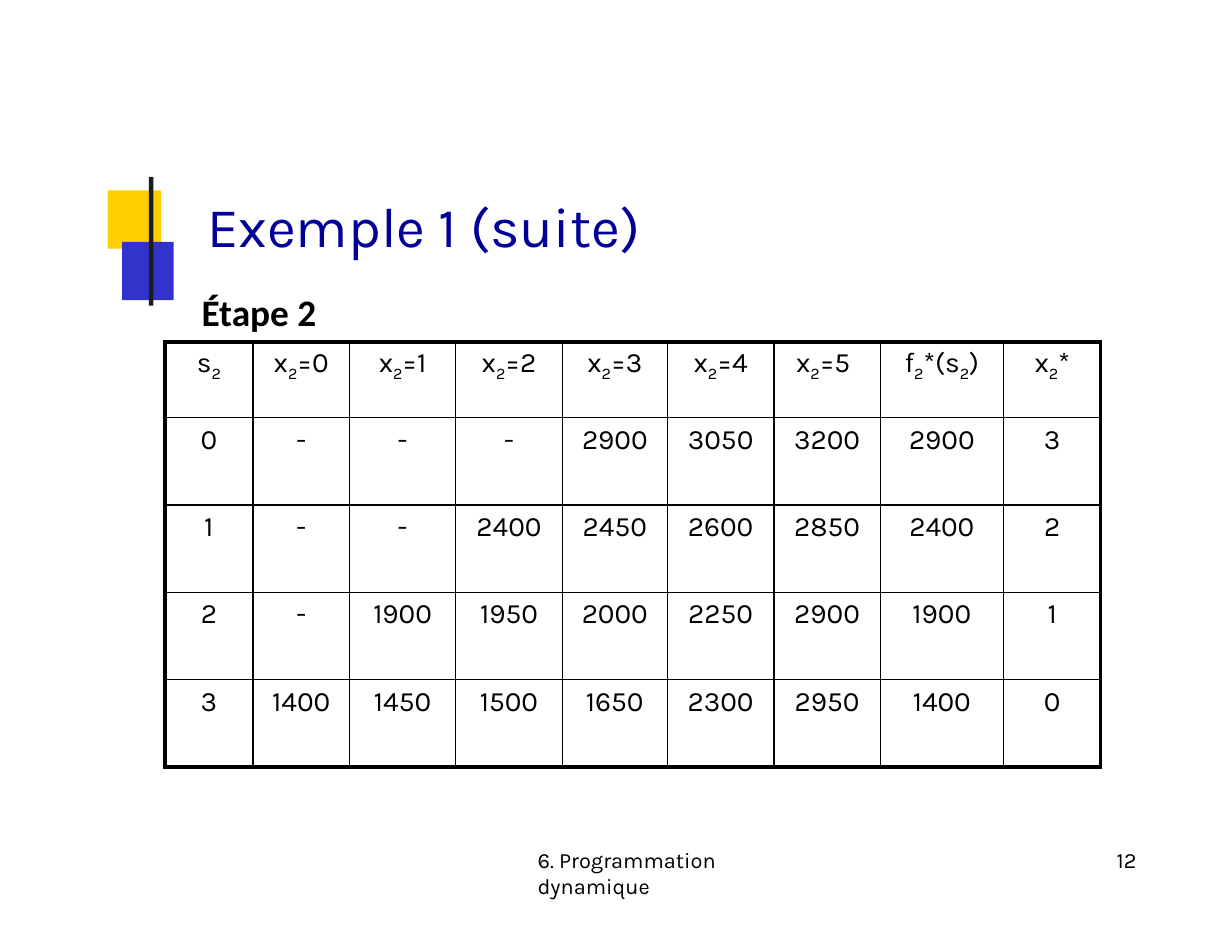
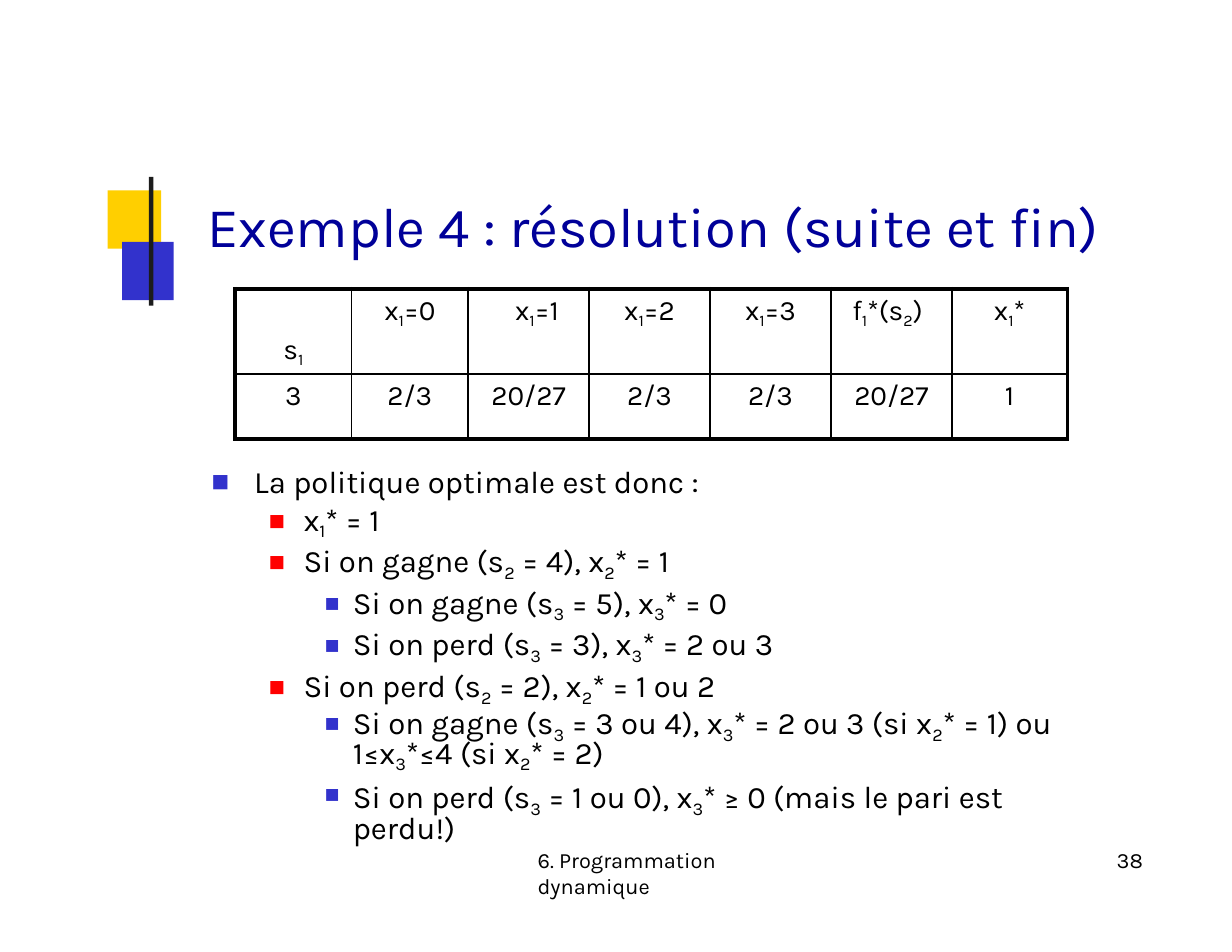
from dataclasses import dataclass

from lxml.etree import SubElement
from pptx import Presentation
from pptx.dml.color import RGBColor as Color
from pptx.enum.shapes import MSO_SHAPE as Shape
from pptx.enum.text import MSO_ANCHOR as Anchor, MSO_AUTO_SIZE as AutoSize, PP_ALIGN as Align
from pptx.oxml.ns import qn
from pptx.util import Inches, Pt


@dataclass(frozen=True)
class Theme:
    font: str = "Karla"
    label_font: str = "Calibri"
    title_color: str = "000099"
    ink: str = "000000"
    yellow: str = "FFCF00"
    blue: str = "3232CC"
    bar: str = "1C1C1C"
    red: str = "FF0000"
    title_size: int = 36
    label_size: int = 24
    body_size: int = 20
    cell_size: int = 18
    footer_size: int = 14
    thin: float = 1
    medium: float = 2.25
    thick: float = 3


FOOTER = "6. Programmation dynamique"
TITLE_ONLY, TITLE_AND_BODY = 5, 1


class Slides:
    def __init__(self, theme):
        self.theme = theme
        self.deck = Presentation()
        self.deck.slide_width, self.deck.slide_height = Inches(11), Inches(8.5)
        self.page = None
        # Left, indent, bullet colour and bullet size (percent) of each list level
        self.levels = [
            (0.47, -0.38, theme.blue, 60),
            (0.91, -0.31, theme.red, 55),
            (1.35, -0.25, theme.blue, 50),
        ]

    def new_page(self, layout, title, number):
        """Start a slide with the shared marks, title and footer."""
        theme = self.theme
        self.page = self.deck.slides.add_slide(self.deck.slide_layouts[layout])
        self.block(0.96, 1.7, 0.48, 0.52, theme.yellow)
        self.block(1.09, 2.16, 0.46, 0.52, theme.blue)
        self.block(1.33, 1.58, 0.04, 1.15, theme.bar)

        heading = self.page.shapes.title
        self.frame(heading, 1.85, 1.68, 8.34, 0.63)
        self.fill_para(heading.text_frame.paragraphs[0], title,
                       theme.title_size, theme.title_color)

        self.label(FOOTER, 4.8, 7.53, 2.57, 0.26, theme.footer_size)
        self.label(str(number), 9.97, 7.53, 0.31, 0.26, theme.footer_size)

    def block(self, left, top, width, height, color):
        box = self.page.shapes.add_shape(
            Shape.RECTANGLE, Inches(left), Inches(top), Inches(width), Inches(height))
        box.shadow.inherit = False
        box.fill.solid()
        box.fill.fore_color.rgb = Color.from_string(color)
        box.line.fill.background()

    def frame(self, box, left, top, width, height):
        """Place a box of text and give it the tight shared margins."""
        box.left, box.top = Inches(left), Inches(top)
        box.width, box.height = Inches(width), Inches(height)
        frame = box.text_frame
        frame.word_wrap = True
        frame.auto_size = AutoSize.NONE
        frame.vertical_anchor = Anchor.TOP
        frame.margin_left = frame.margin_right = frame.margin_bottom = 0
        frame.margin_top = Inches(0.03)

    def fill_para(self, para, text, size, color=None, font=None, bold=False, align=Align.LEFT):
        """Fill a paragraph; the character after each _ is a subscript."""
        para.alignment = align
        para.font.name = font or self.theme.font
        para.font.size = Pt(size)
        para.font.bold = bold
        para.font.color.rgb = Color.from_string(color or self.theme.ink)
        first, *rest = text.split("_")
        pieces = [(first, False)]
        for part in rest:
            pieces += [(part[0], True), (part[1:], False)]
        for piece, lowered in pieces:
            if piece:
                span = para.add_run()
                span.text = piece
                if lowered:
                    span._r.get_or_add_rPr().set("baseline", "-22000")

    def label(self, text, left, top, width, height, size, **style):
        box = self.page.shapes.add_textbox(0, 0, 0, 0)
        self.frame(box, left, top, width, height)
        self.fill_para(box.text_frame.paragraphs[0], text, size, **style)

    def bullets(self, items, left, top, width, height):
        """Items are (level, text, line spacing, points before)."""
        box = self.page.placeholders[1]
        self.frame(box, left, top, width, height)
        frame = box.text_frame
        for index, (level, text, spacing, before) in enumerate(items):
            para = frame.add_paragraph() if index else frame.paragraphs[0]
            para.level = level
            para.line_spacing = spacing
            para.space_before = Pt(before)
            self.bullet(para, *self.levels[level])
            self.fill_para(para, text, self.theme.body_size)

    def bullet(self, para, left, indent, color, percent):
        props = para._p.get_or_add_pPr()
        props.set("marL", str(Inches(left)))
        props.set("indent", str(Inches(indent)))
        SubElement(SubElement(props, qn("a:buClr")), qn("a:srgbClr"), val=color)
        SubElement(props, qn("a:buSzPct"), val=str(percent * 1000))
        SubElement(props, qn("a:buFont"), typeface=self.theme.font)
        SubElement(props, qn("a:buChar"), char="■")

    def table(self, rows, left, top, widths, heights, nudges):
        """Nudges map a header column to its (left, right, top) extra margins."""
        theme = self.theme
        table = self.page.shapes.add_table(
            len(rows), len(widths), Inches(left), Inches(top),
            Inches(sum(widths)), Inches(sum(heights))).table
        table.first_row = table.horz_banding = False
        for column, width in zip(table.columns, widths):
            column.width = Inches(width)
        last_row, last_column = len(rows) - 1, len(widths) - 1
        for r, (row, height) in enumerate(zip(rows, heights)):
            table.rows[r].height = Inches(height)
            for c, text in enumerate(row):
                cell = table.cell(r, c)
                extra = nudges.get(c, (0, 0, 0)) if r == 0 else (0, 0, 0)
                cell.margin_left, cell.margin_right = Inches(extra[0]), Inches(extra[1])
                cell.margin_top, cell.margin_bottom = Inches(0.05 + extra[2]), 0
                cell.vertical_anchor = Anchor.TOP
                self.fill_para(cell.text_frame.paragraphs[0], text, theme.cell_size,
                               align=Align.CENTER)
                self.borders(
                    cell,
                    L=theme.thick if c == 0 else theme.thin,
                    R=theme.medium if c == last_column else theme.thin,
                    T=theme.thick if r == 0 else theme.thin,
                    B=theme.thick if r == last_row else theme.thin)
                cell.fill.background()

    def borders(self, cell, **sides):
        props = cell._tc.get_or_add_tcPr()
        for side, width in sides.items():
            line = SubElement(props, qn(f"a:ln{side}"), w=str(Pt(width)))
            fill = SubElement(line, qn("a:solidFill"))
            SubElement(fill, qn("a:srgbClr"), val=self.theme.ink)


def stage_two(slides):
    theme = slides.theme
    slides.new_page(TITLE_ONLY, "Exemple 1 (suite)", 12)
    rows = [
        ["s_2", *(f"x_2={x}" for x in range(6)), "f_2*(s_2)", "x_2*"],
        ["0", "-", "-", "-", "2900", "3050", "3200", "2900", "3"],
        ["1", "-", "-", "2400", "2450", "2600", "2850", "2400", "2"],
        ["2", "-", "1900", "1950", "2000", "2250", "2900", "1900", "1"],
        ["3", "1400", "1450", "1500", "1650", "2300", "2950", "1400", "0"],
    ]
    slides.table(rows, 1.47, 3.05,
                 [0.79, 0.86, 0.95, 0.95, 0.94, 0.95, 0.95, 1.1, 0.87],
                 [0.68] + [0.78] * 4, {6: (0, 0.07, 0)})
    slides.label("Étape 2", 1.8, 2.55, 5.45, 0.45, theme.label_size,
                 font=theme.label_font, bold=True)


def optimal_policy(slides):
    slides.new_page(TITLE_AND_BODY, "Exemple 4 : résolution (suite et fin)", 38)
    slides.bullets([
        (0, "La politique optimale est donc :", 1.0, 0),
        (1, "x_1* = 1", 1.0, 0),
        (1, "Si on gagne (s_2 = 4), x_2* = 1", 1.0, 0),
        (2, "Si on gagne (s_3 = 5), x_3* = 0", 1.0, 0),
        (2, "Si on perd (s_3 = 3), x_3* = 2 ou 3", 1.0, 0),
        (1, "Si on perd (s_2 = 2), x_2* = 1 ou 2", 1.0, 0),
        (2, "Si on gagne (s_3 = 3 ou 4), x_3* = 2 ou 3 (si x_2* = 1) ou "
            "1≤x_3*≤4 (si x_2* = 2)", Pt(19.2), 4.6),
        (2, "Si on perd (s_3 = 1 ou 0), x_3* ≥ 0 (mais le pari est perdu!)", 0.8, 5),
    ], 1.8, 4.1, 8.1, 3.23)
    rows = [
        ["s_1", *(f"x_1={x}" for x in range(4)), "f_1*(s_2)", "x_1*"],
        ["3", "2/3", "20/27", "2/3", "2/3", "20/27", "1"],
    ]
    slides.table(rows, 2.1, 2.58, [1.04, 1.04] + [1.08] * 4 + [1.03], [0.76, 0.58],
                 {0: (0, 0, 0.35), 2: (0.15, 0, 0), 5: (0, 0.07, 0)})


def main():
    slides = Slides(Theme())
    stage_two(slides)
    optimal_policy(slides)
    slides.deck.save("out.pptx")


if __name__ == "__main__":
    main()
